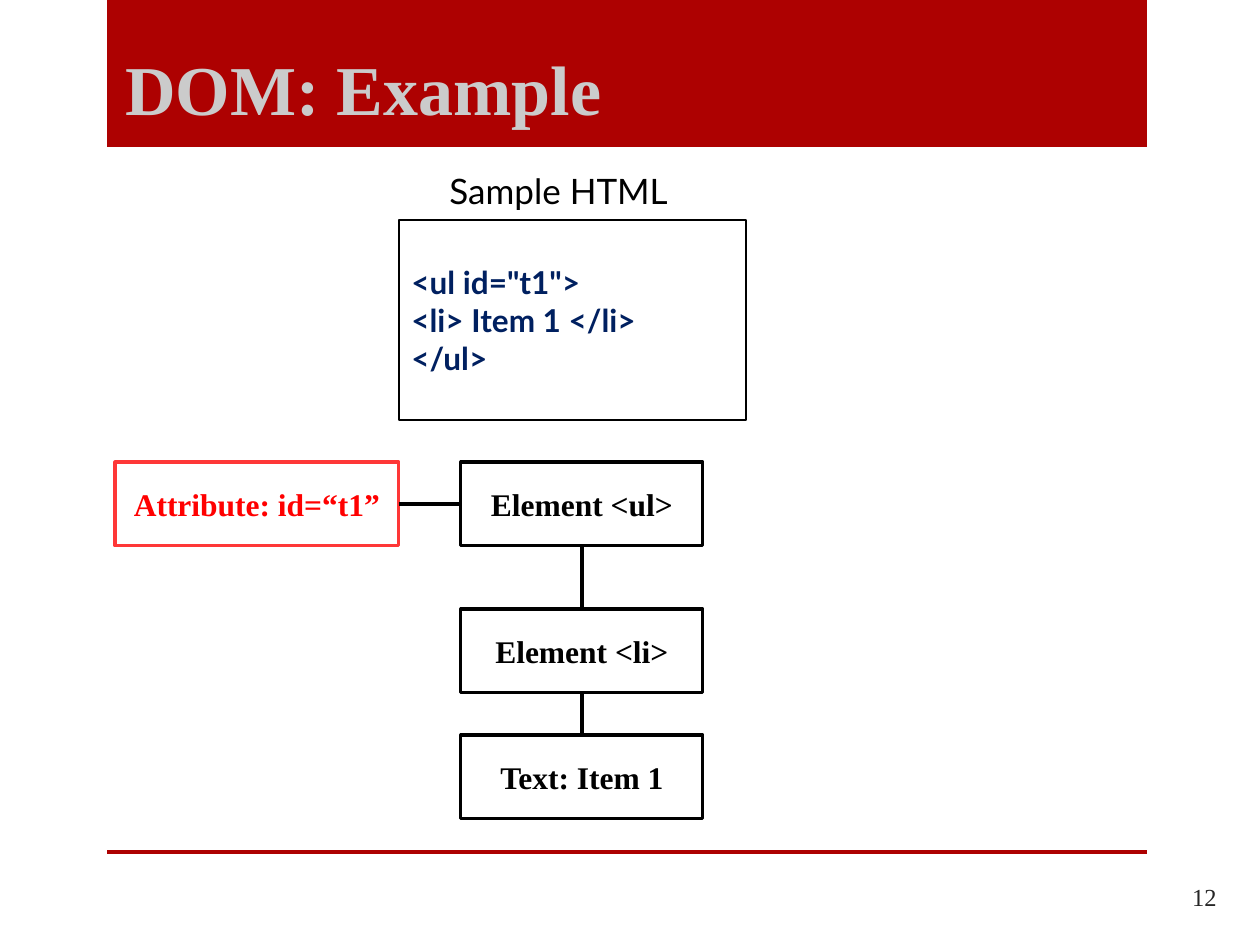
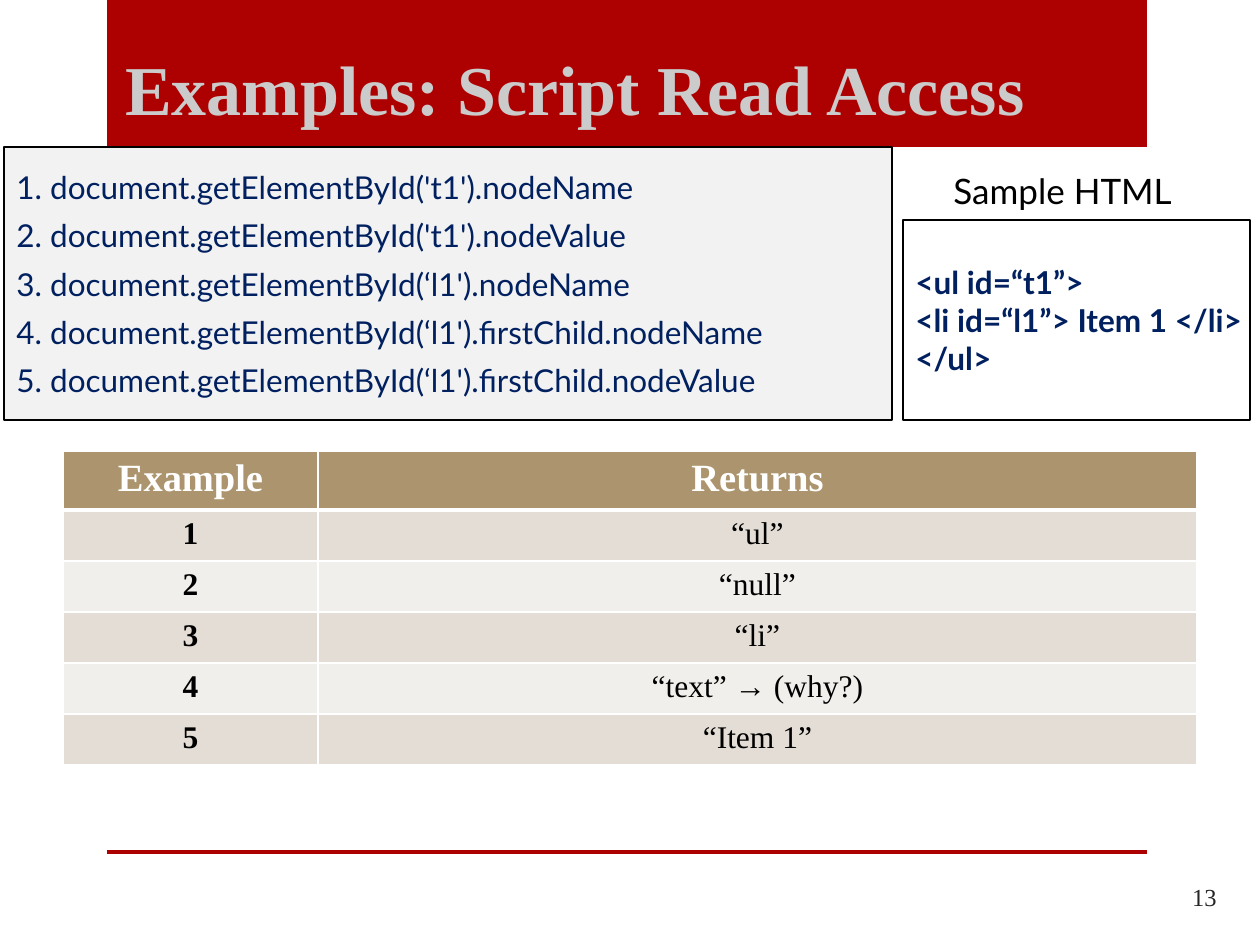
from dataclasses import dataclass

from lxml import etree
from pptx import Presentation
from pptx import util as u
from pptx.dml.color import RGBColor
from pptx.enum import shapes, text
from pptx.oxml import ns


@dataclass(frozen=True)
class Theme:
    serif: str = "Times New Roman"
    sans: str = "Lato"
    band: str = "AD0101"
    title: str = "CBCBCB"
    ink: str = "000000"
    code: str = "002060"
    code_fill: str = "F2F2F2"
    attribute_line: str = "FE3737"
    attribute_text: str = "FF0000"
    page: str = "262626"
    white: str = "FFFFFF"
    header_fill: str = "AC956E"
    row_fills: tuple = ("E3DDD5", "F1EFEB")
    title_size: int = 40
    header_size: int = 22
    caption_size: int = 20
    body_size: int = 18
    page_size: int = 14


THEME = Theme()
EMU_PER_PX = 914400 / 126

TREE_SLIDE = {
    "title": "DOM: Example",
    "page": 12,
    "sample_left": 399,
    "sample": ['<ul id="t1">', "<li> Item 1 </li>", "</ul>"],
}
NODES = [("Element <ul>", 462), ("Element <li>", 609), ("Text: Item 1", 735)]
ATTRIBUTE = "Attribute: id=“t1”"

ACCESS_SLIDE = {
    "title": "Examples: Script Read Access",
    "page": 13,
    "sample_left": 903,
    "sample": ["<ul id=“t1”>", "<li id=“l1”> Item 1 </li>", "</ul>"],
}
CALLS = [
    "document.getElementById('t1').nodeName",
    "document.getElementById('t1').nodeValue",
    "document.getElementById(‘l1').nodeName",
    "document.getElementById(‘l1').firstChild.nodeName",
    "document.getElementById(‘l1').firstChild.nodeValue",
]
HEADINGS = ("Example", "Returns")
RETURNS = ["“ul”", "“null”", "“li”", "“text” → (why?)", "“Item 1”"]

NODE_LEFT, NODE_WIDTH, NODE_HEIGHT = 461, 242, 84
ATTRIBUTE_LEFT, ATTRIBUTE_WIDTH = 115, 284
SAMPLE_TOP, SAMPLE_WIDTH, SAMPLE_HEIGHT = 220, 347, 200
CAPTION_INDENT, CAPTION_TOP = 38, 168
TABLE_LEFT, TABLE_TOP = 63, 451
COLUMN_WIDTHS = (255, 879)
HEADER_HEIGHT, ROW_HEIGHT = 59, 51


def px(length):
    return u.Emu(round(length * EMU_PER_PX))


def rgb(color):
    return RGBColor.from_string(color)


def write(frame, lines, size, color, font=THEME.serif, bold=False,
          align=text.PP_ALIGN.LEFT, gap=0):
    for index, line in enumerate(lines):
        paragraph = frame.paragraphs[0] if index == 0 else frame.add_paragraph()
        paragraph.text = line
        paragraph.alignment = align
        paragraph.space_before = u.Pt(gap if index else 0)
        paragraph.space_after = u.Pt(gap)
        paragraph.font.name = font
        paragraph.font.size = u.Pt(size)
        paragraph.font.bold = bold
        paragraph.font.color.rgb = rgb(color)


def add_box(slide, left, top, width, height, fill=None, line=None, weight=0.75):
    box = slide.shapes.add_shape(shapes.MSO_SHAPE.RECTANGLE,
                                 px(left), px(top), px(width), px(height))
    box.shadow.inherit = False
    if fill:
        box.fill.solid()
        box.fill.fore_color.rgb = rgb(fill)
    else:
        box.fill.background()
    if line:
        box.line.color.rgb = rgb(line)
        box.line.width = u.Pt(weight)
    else:
        box.line.fill.background()
    return box


def add_label(slide, left, top, width, height, words, size, color,
              anchor=text.MSO_ANCHOR.TOP, **style):
    frame = slide.shapes.add_textbox(px(left), px(top), px(width), px(height)).text_frame
    frame.word_wrap = True
    frame.vertical_anchor = anchor
    write(frame, [words], size, color, **style)
    return frame


def add_code(slide, left, top, width, height, lines, fill=None, **style):
    frame = add_box(slide, left, top, width, height, fill, THEME.ink).text_frame
    frame.word_wrap = False
    frame.vertical_anchor = text.MSO_ANCHOR.MIDDLE
    write(frame, lines, THEME.body_size, THEME.code, THEME.sans, **style)


def add_node(slide, left, top, width, words, line=THEME.ink, color=THEME.ink):
    node = add_box(slide, left, top, width, NODE_HEIGHT, line=line, weight=1.75)
    node.text_frame.word_wrap = True
    node.text_frame.vertical_anchor = text.MSO_ANCHOR.MIDDLE
    write(node.text_frame, [words], THEME.body_size, color, bold=True,
          align=text.PP_ALIGN.CENTER)
    return node


def join(slide, start, start_side, end, end_side):
    """Link two nodes; sides are 0 top, 1 left, 2 bottom, 3 right."""
    link = slide.shapes.add_connector(shapes.MSO_CONNECTOR.STRAIGHT, 0, 0, 0, 0)
    link.begin_connect(start, start_side)
    link.end_connect(end, end_side)
    link.line.color.rgb = rgb(THEME.ink)
    link.line.width = u.Pt(2)
    etree.SubElement(link._element.spPr, ns.qn("a:effectLst"))


def set_borders(cell, **weights):
    """Give the cell white borders; weights are in points, keyed L, R, T, B."""
    properties = cell._tc.get_or_add_tcPr()
    for index, side in enumerate("LRTB"):
        border = etree.Element(ns.qn(f"a:ln{side}"), w=str(u.Pt(weights.get(side, 1))))
        fill = etree.SubElement(border, ns.qn("a:solidFill"))
        etree.SubElement(fill, ns.qn("a:srgbClr"), val=THEME.white)
        properties.insert(index, border)


def add_returns_table(slide):
    rows = [HEADINGS] + [(str(n), value) for n, value in enumerate(RETURNS, 1)]
    table = slide.shapes.add_table(
        len(rows), len(HEADINGS), px(TABLE_LEFT), px(TABLE_TOP), px(sum(COLUMN_WIDTHS)),
        px(HEADER_HEIGHT + ROW_HEIGHT * len(RETURNS))).table
    for column, width in zip(table.columns, COLUMN_WIDTHS):
        column.width = px(width)
    for r, values in enumerate(rows):
        header = r == 0
        table.rows[r].height = px(HEADER_HEIGHT if header else ROW_HEIGHT)
        for c, value in enumerate(values):
            cell = table.cell(r, c)
            cell.fill.solid()
            cell.fill.fore_color.rgb = rgb(
                THEME.header_fill if header else THEME.row_fills[(r - 1) % 2])
            set_borders(cell, B=3 if header else 1, T=3 if r == 1 else 1)
            write(cell.text_frame, [value],
                  THEME.header_size if header else THEME.body_size,
                  THEME.white if header else THEME.ink,
                  bold=header or c == 0, align=text.PP_ALIGN.CENTER)


def add_slide(deck, content):
    """Start a slide with the title band, footer rule, page number and HTML sample."""
    slide = deck.slides.add_slide(deck.slide_layouts[6])
    for top, height in ((0, 147), (850, 4)):
        add_box(slide, 107, top, 1040, height, THEME.band)
    add_label(slide, 113, 0, 935, 136, content["title"], THEME.title_size, THEME.title,
              text.MSO_ANCHOR.BOTTOM, bold=True)
    add_label(slide, 1124, 872, 105, 50, str(content["page"]), THEME.page_size,
              THEME.page, text.MSO_ANCHOR.MIDDLE, align=text.PP_ALIGN.RIGHT)
    left = content["sample_left"]
    add_code(slide, left, SAMPLE_TOP, SAMPLE_WIDTH, SAMPLE_HEIGHT,
             content["sample"], bold=True)
    caption = add_label(slide, left + CAPTION_INDENT, CAPTION_TOP, 307, 59, "Sample HTML",
                        THEME.caption_size, THEME.ink, font=THEME.sans)
    caption.paragraphs[0].line_spacing = 0.9
    return slide


def build_tree_slide(deck):
    slide = add_slide(deck, TREE_SLIDE)
    nodes = [add_node(slide, NODE_LEFT, top, NODE_WIDTH, words) for words, top in NODES]
    attribute = add_node(slide, ATTRIBUTE_LEFT, NODES[0][1], ATTRIBUTE_WIDTH, ATTRIBUTE,
                         THEME.attribute_line, THEME.attribute_text)
    join(slide, nodes[0], 1, attribute, 3)
    for parent, child in zip(nodes, nodes[1:]):
        join(slide, parent, 2, child, 0)


def build_access_slide(deck):
    slide = add_slide(deck, ACCESS_SLIDE)
    calls = [f"{number}. {call}" for number, call in enumerate(CALLS, 1)]
    add_code(slide, 4, 147, 888, 273, calls, THEME.code_fill, gap=3)
    add_returns_table(slide)


def main():
    deck = Presentation()
    deck.slide_width, deck.slide_height = px(1260), px(945)
    build_tree_slide(deck)
    build_access_slide(deck)
    deck.save("out.pptx")


if __name__ == "__main__":
    main()
